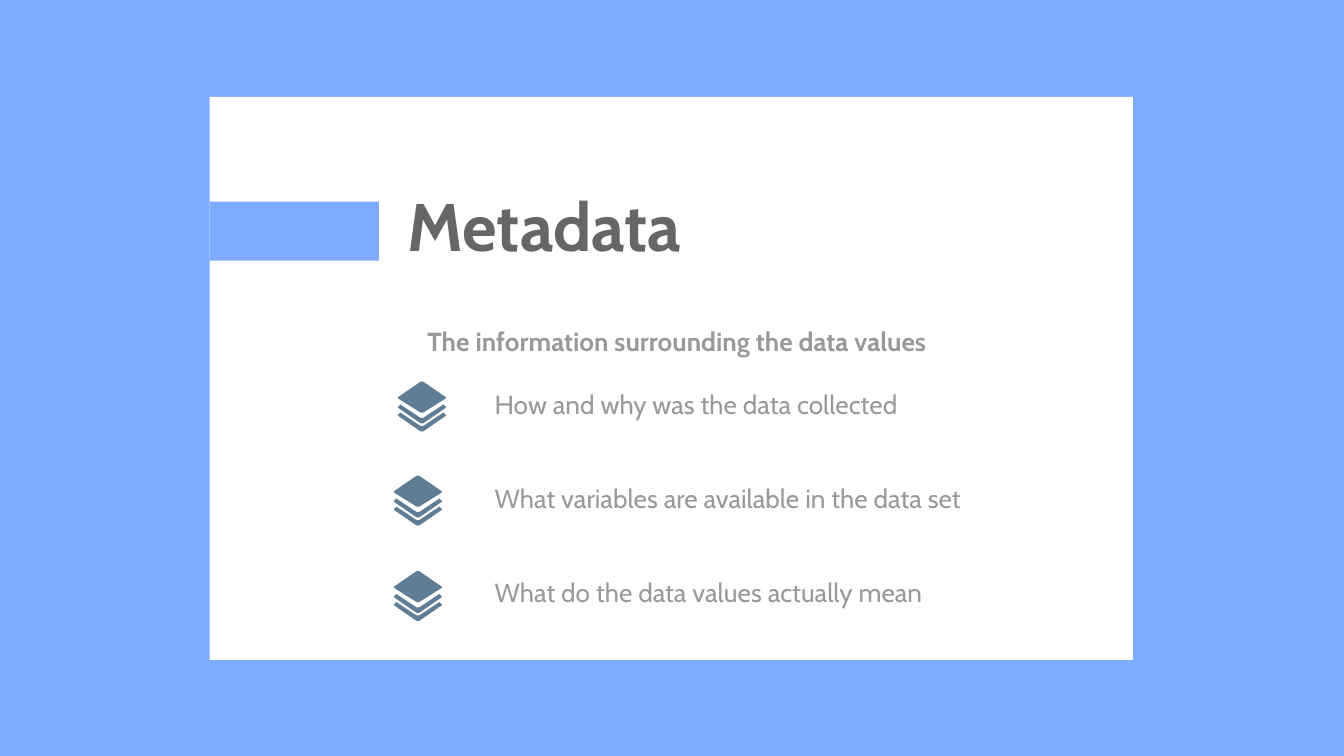
import pptx
import pptx.dml.color
import pptx.enum.shapes
import pptx.enum.text
import pptx.oxml
import pptx.util

THEME = {
    "font": "Cabin",
    "blue": "7FABFF", "card": "FFFFFF", "icon": "5F7D95",
    "title": "666666", "body": "999999",
    "title_size": 36, "body_size": 14,
}

POINTS = [
    "How and why was the data collected",
    "What variables are available in the data set",
    "What do the data values actually mean",
]
ICON_CORNERS = [(2.96, 2.84), (2.93, 3.54), (2.93, 4.25)]

# Outlines in hundredths of an inch from the icon's top left corner
TOP_SHEET = [(17, 0), (19, 0), (35, 11), (36, 12), (35, 13),
             (19, 23), (17, 23), (1, 13), (0, 12), (1, 11)]
LOWER_SHEET = [(2, 0), (1, 1), (0, 2), (1, 3), (17, 14), (19, 14), (35, 3),
               (36, 2), (35, 1), (34, 0), (19, 10), (17, 10)]
SHEETS = [(TOP_SHEET, 0), (LOWER_SHEET, 23), (LOWER_SHEET, 17)]


def paint(shape, color):
    shape.fill.solid()
    shape.fill.fore_color.rgb = pptx.dml.color.RGBColor.from_string(THEME[color])
    shape.line.fill.background()
    shape.shadow.inherit = False


def write(paragraph, text, role, bold, indent=0, before=0):
    """Add one left-aligned run without a bullet, indented in inches."""
    paragraph.alignment = pptx.enum.text.PP_ALIGN.LEFT
    paragraph.space_before = pptx.util.Pt(before)
    paragraph.line_spacing = 1.0
    properties = paragraph._p.get_or_add_pPr()
    properties.set("marL", str(pptx.util.Inches(indent)))
    properties.set("indent", "0")
    properties.append(pptx.oxml.parse_xml(
        '<a:buNone xmlns:a="http://schemas.openxmlformats.org/drawingml/2006/main"/>'))
    run = paragraph.add_run()
    run.text = text
    run.font.name = THEME["font"]
    run.font.size = pptx.util.Pt(THEME[role + "_size"])
    run.font.bold = bold
    run.font.color.rgb = pptx.dml.color.RGBColor.from_string(THEME[role])


deck = pptx.Presentation()
deck.slide_width = pptx.util.Inches(10)
deck.slide_height = deck.slide_width * 9 // 16
slide = deck.slides.add_slide(deck.slide_layouts[1])
title, body = slide.shapes.title, slide.placeholders[1]

# Frame, card and accent bar lie behind the text
for box, color in [((-0.08, -0.01, 10.09, 5.71), "blue"),
                   ((1.56, 0.72, 6.87, 4.19), "card"),
                   ((1.56, 1.5, 1.26, 0.44), "blue")]:
    panel = slide.shapes.add_shape(
        pptx.enum.shapes.MSO_SHAPE.RECTANGLE, *map(pptx.util.Inches, box))
    paint(panel, color)
    title.element.addprevious(panel.element)

for holder, box in [(title, (2.93, 1.27, 4.29, 0.8)),
                    (body, (2.93, 2.32, 5.16, 2.12))]:
    holder.left, holder.top, holder.width, holder.height = map(pptx.util.Inches, box)
    frame = holder.text_frame
    frame.word_wrap = True
    frame.auto_size = pptx.enum.text.MSO_AUTO_SIZE.NONE
    frame.vertical_anchor = pptx.enum.text.MSO_ANCHOR.TOP
    frame.margin_left = frame.margin_right = pptx.util.Inches(0.1)
    frame.margin_top = frame.margin_bottom = pptx.util.Inches(0.1)

write(title.text_frame.paragraphs[0], "Metadata", "title", True)
write(body.text_frame.paragraphs[0],
      "The information surrounding the data values", "body", True, 0.15)
for number, point in enumerate(POINTS):
    item = body.text_frame.add_paragraph()
    item.level = 1
    write(item, point, "body", False, 0.65, 33.5 if number else 17)

for left, top in ICON_CORNERS:
    stack = slide.shapes.add_group_shape()
    for outline, drop in SHEETS:
        builder = stack.shapes.build_freeform(
            *outline[0], scale=pptx.util.Inches(0.01))
        builder.add_line_segments(outline[1:], close=True)
        sheet = builder.convert_to_shape(
            pptx.util.Inches(left), pptx.util.Inches(top + drop / 100))
        paint(sheet, "icon")

deck.save("out.pptx")
